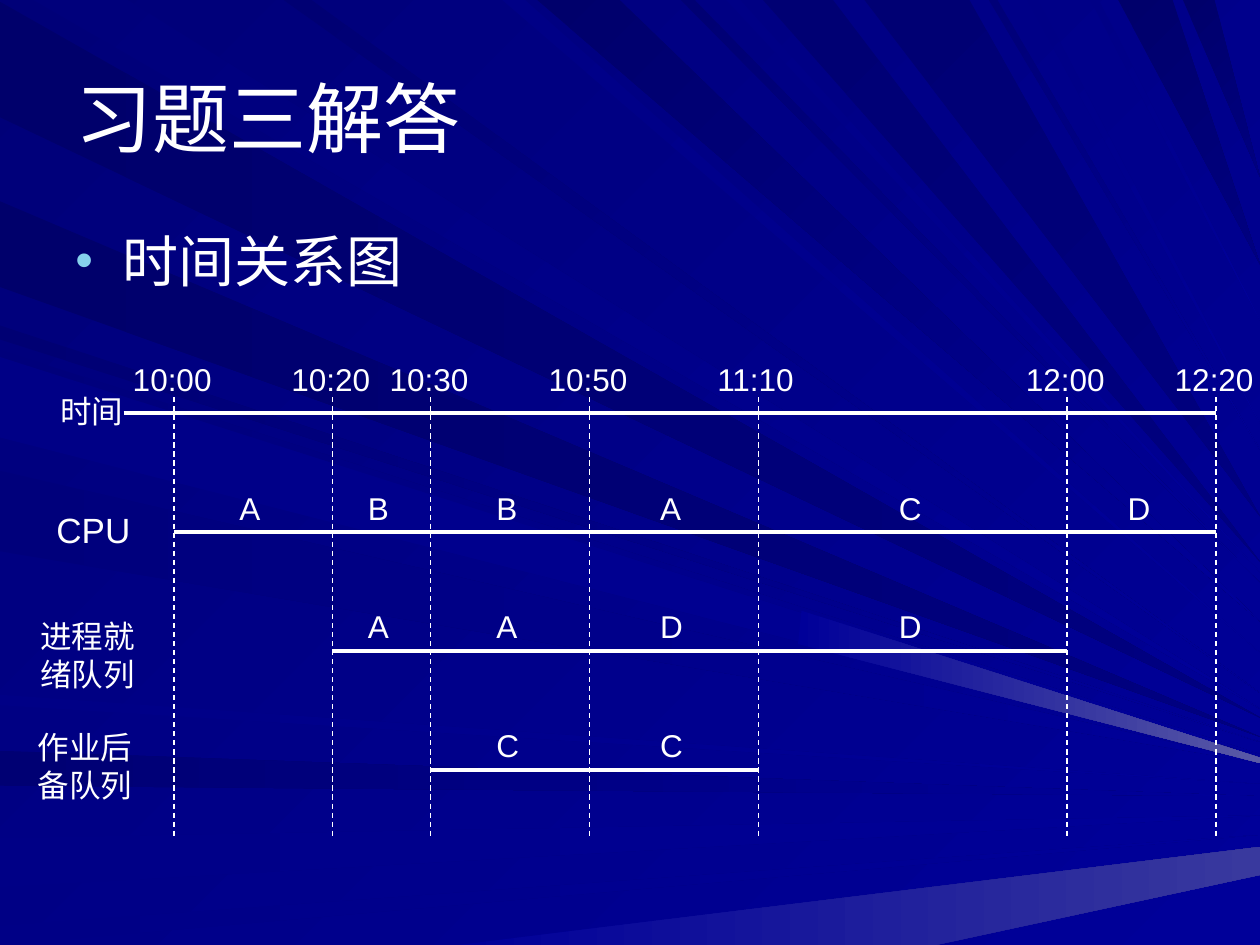
import pptx
import pptx.dml.color
import pptx.enum.dml
import pptx.enum.shapes
import pptx.enum.text
import pptx.oxml
import pptx.oxml.ns
import pptx.util

COLORS = {
    "white": "FFFFFF", "bullet": "86D1EC", "base": "000078",
    "deep": "00006B", "dark": "000073", "mid": "00007B", "soft": "000086",
    "navy": "000080", "royal": "000099", "haze": "39399E", "glow": "5A5AA6",
}
WIDTH, HEIGHT = 720, 540

RAYS = [
    ("left", 1, 67, 410, "deep", "navy"),
    ("top", 19, 73, 405, "mid", "royal"),
    ("left", 429, 449, 455, "dark", "royal"),
    ("left", 479, 507, 466, "soft", "royal"),
    ("left", 529, 540, 477, "soft", "royal"),
    ("left", 186, 194, 424, "dark", "royal"),
    ("left", 115, 164, 421, "deep", "navy"),
    ("top", 287, 300, 373, "soft", "royal"),
    ("top", 307, 354, 355, "deep", "royal"),
    ("top", 389, 397, 333, "dark", "royal"),
    ("top", 436, 476, 321, "dark", "navy"),
    ("top", 639, 670, 151, "deep", "navy"),
    ("top", 676, 694, 101, "deep", "navy"),
    ("left", 200, 246, 431, "mid", "royal"),
    ("left", 269, 315, 436, "mid", "royal"),
    ("left", 397, 403, 448, "soft", "royal"),
    ("top", 162, 178, 396, "dark", "royal"),
    ("top", 415, 423, 327, "soft", "royal"),
    ("top", 494, 554, 295, "dark", "navy"),
    ("top", 565, 570, 257, "base", "royal"),
    ("top", 587, 593, 242, "soft", "royal"),
    ("top", 623, 628, 183, "soft", "royal"),
    ("left", 204, 250, 434, "soft", "royal"),
]
BEAMS = [
    ("haze", [(262, HEIGHT), (535, HEIGHT), (WIDTH, 500), (WIDTH, 484)]),
    ("glow", [(458, 349), (456, 368), (WIDTH, 436), (WIDTH, 433)]),
]

TIMES = {"10:00": 99.4, "10:20": 190, "10:30": 246.2, "10:50": 337,
         "11:10": 433.4, "12:00": 609.8, "12:20": 694.8}
ROWS = [
    ("时间", 18, (27.4, 220.3, 54.7, 28.8), None, ""),
    ("CPU", 20, (25.2, 287.3, 59.8, 31), "10:00", "ABBACD"),
    ("进程就绪队列", 18, (15.8, 349.2, 77.8, 50.4), "10:20", "AADD"),
    ("作业后备队列", 18, (14.4, 412.6, 77.8, 50.4), "10:30", "CC"),
]
FIRST_ROW, ROW_GAP = 236.2, 67.9
AXIS_START = 70.6
LABEL_HEIGHT = 28.8


def color(name):
    return pptx.dml.color.RGBColor.from_string(COLORS[name])


class Painter:
    font = "Arial"

    def __init__(self, page):
        self.page = page

    def paint(self, fill, start, end, angle):
        fill.gradient()
        fill.gradient_angle = (360 - angle) % 360
        for stop, name in zip(fill.gradient_stops, (start, end)):
            stop.color.rgb = color(name)

    def beam(self, points, start, end, angle=0):
        corners = [(pptx.util.Pt(x), pptx.util.Pt(y)) for x, y in points]
        builder = self.page.shapes.build_freeform(*corners[0], scale=1.0)
        builder.add_line_segments(corners[1:], close=True)
        shape = builder.convert_to_shape()
        shape.shadow.inherit = False
        shape.line.fill.background()
        self.paint(shape.fill, start, end, angle)

    def ray(self, edge, near, far, tip, start, end):
        if edge == "top":
            points, angle = [(near, 0), (far, 0)], 45
        else:
            points, angle = [(0, near), (0, far)], 0
        self.beam(points + [(WIDTH, tip)], start, end, angle)

    def line(self, left, top, right, bottom, width, dashed=False):
        ends = [pptx.util.Pt(value) for value in (left, top, right, bottom)]
        connector = self.page.shapes.add_connector(
            pptx.enum.shapes.MSO_CONNECTOR.STRAIGHT, *ends)
        connector.line.color.rgb = color("white")
        connector.line.width = pptx.util.Pt(width)
        if dashed:
            connector.line.dash_style = pptx.enum.dml.MSO_LINE.DASH
        connector.element.spPr.append(pptx.oxml.parse_xml(
            f"<a:effectLst {pptx.oxml.ns.nsdecls('a')}/>"))

    def text(self, words, place, size=18, middle=False, bullet=False):
        box = self.page.shapes.add_textbox(*[pptx.util.Pt(value) for value in place])
        frame = box.text_frame
        frame.word_wrap = True
        if middle:
            frame.vertical_anchor = pptx.enum.text.MSO_ANCHOR.MIDDLE
        para = frame.paragraphs[0]
        if bullet:
            self.bullet(para)
        span = para.add_run()
        span.text = words
        span.font.name = self.font
        span.font.size = pptx.util.Pt(size)
        span.font.color.rgb = color("white")

    def bullet(self, para):
        properties = para._p.get_or_add_pPr()
        indent = pptx.util.Pt(27)
        properties.set("marL", str(indent))
        properties.set("indent", str(-indent))
        space = pptx.oxml.ns.nsdecls("a")
        for xml in (
            f'<a:buClr {space}><a:srgbClr val="{COLORS["bullet"]}"/></a:buClr>',
            f'<a:buSzPct {space} val="90000"/>',
            f'<a:buFont {space} typeface="{self.font}"/>',
            f'<a:buChar {space} char="•"/>',
        ):
            properties.append(pptx.oxml.parse_xml(xml))


def main():
    deck = pptx.Presentation()
    deck.slide_width = pptx.util.Pt(WIDTH)
    deck.slide_height = pptx.util.Pt(HEIGHT)
    page = deck.slides.add_slide(deck.slide_layouts[6])
    painter = Painter(page)
    painter.paint(page.background.fill, "base", "royal", 45)
    for ray in RAYS:
        painter.ray(*ray)
    for shade, points in BEAMS:
        painter.beam(points, "royal", shade)

    painter.text("习题三解答", (36, 21.6, 648, 90), 44, middle=True)
    painter.text("时间关系图", (36, 126, 648, 47.5), 32, bullet=True)

    for label, x in TIMES.items():
        painter.line(x, 227, x, 478.6, 0.75, dashed=True)
        painter.text(label, (x - 30.6, 202.2, 67.7, LABEL_HEIGHT))

    names, marks = list(TIMES), list(TIMES.values())
    for index, (label, size, place, begin, letters) in enumerate(ROWS):
        y = FIRST_ROW + index * ROW_GAP
        painter.text(label, place, size)
        if begin is None:
            painter.line(AXIS_START, y, marks[-1], y, 2.25)
            continue
        first = names.index(begin)
        spans = marks[first:first + len(letters) + 1]
        painter.line(spans[0], y, spans[-1], y, 2.25)
        for letter, left, right in zip(letters, spans, spans[1:]):
            painter.text(letter, ((left + right) / 2 - 15, y - 28.4, 33.8, LABEL_HEIGHT))

    deck.save("out.pptx")


if __name__ == "__main__":
    main()
